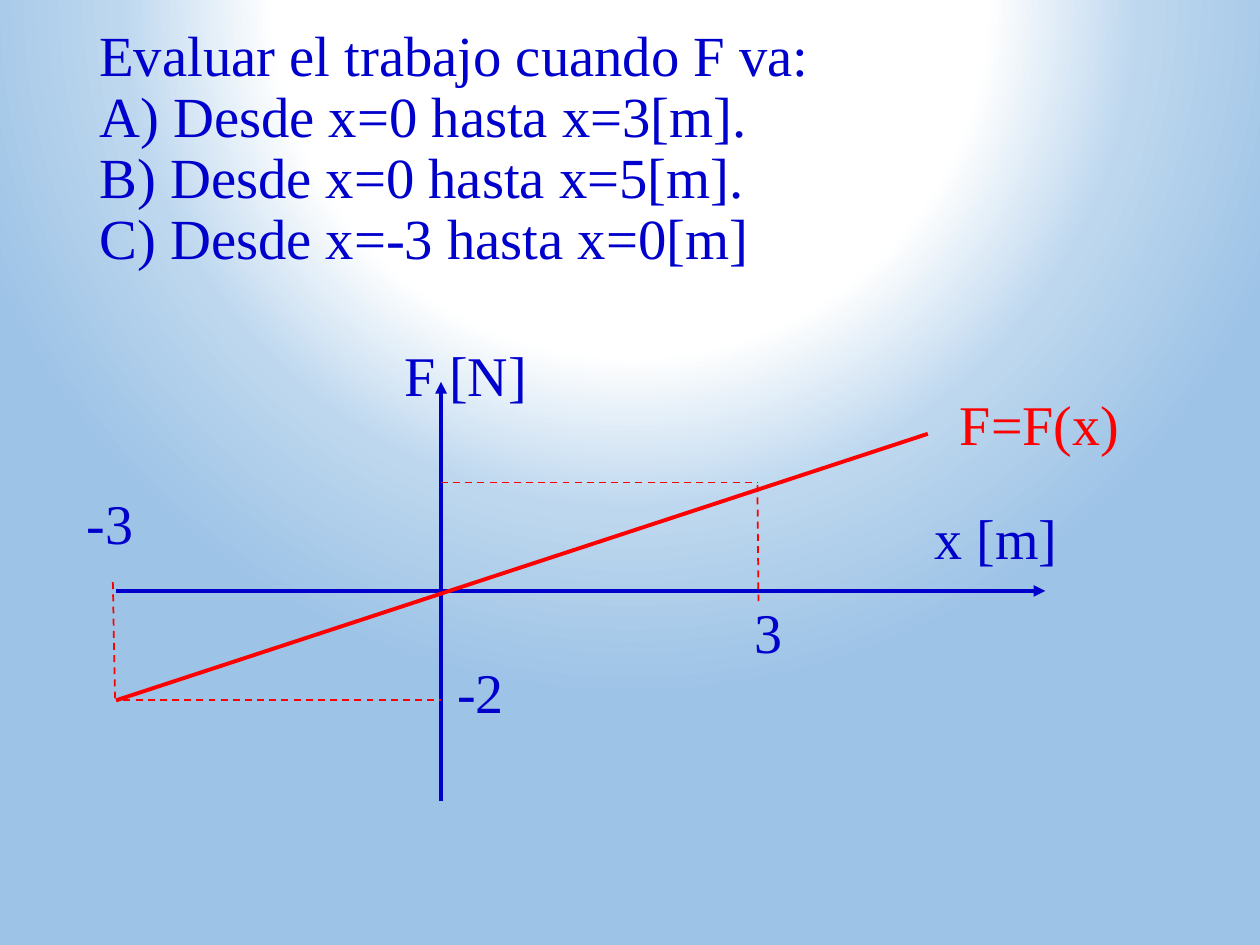
from lxml import etree
from pptx import Presentation
from pptx.dml.color import RGBColor
from pptx.enum.dml import MSO_LINE
from pptx.enum.shapes import MSO_CONNECTOR
from pptx.oxml.ns import qn
from pptx.util import Inches, Pt

STRAIGHT, DASH = MSO_CONNECTOR.STRAIGHT, MSO_LINE.DASH

THEME = dict(font="Times New Roman", blue="0000CC", red="FF0000",
             title=32.4, title_pitch=35, label=32, thick=2.25, thin=1,
             background=[(0, "FFFFFF"), (45, "FFFFFF"), (65, "BDD7EE"),
                         (89, "9DC3E6"), (100, "9DC3E6")],
             focus=dict(l=50, t=-80, r=50, b=180))

# Content
QUESTION = ["Evaluar el trabajo cuando F va:",
            "A) Desde x=0 hasta x=3[m].",
            "B) Desde x=0 hasta x=5[m].",
            "C) Desde x=-3 hasta x=0[m]"]
QUESTION_BOX = (0.69, 0.16, 5.89, 2.04)

# Graph coordinates: (x in m, F in N), placed on the slide by origin and unit
ORIGIN = (3.5, 4.69)
UNIT = (0.84, 0.43)
AXES = [((-3.07, 0), (5.71, 0)), ((0, -3.88), (0, 3.86))]
FORCE = ((-3.07, -2.02), (4.6, 2.9))
GUIDES = [((-3, -2.02), (0, -2.02)), ((-3.1, 0.16), (-3.08, -1.98)),
          ((2.99, 1.95), (3, -0.19)), ((0, 2), (3, 2))]

# text, left, top, width, height, colour
LABELS = [("F [N]", 3.11, 2.65, 1.3, 0.66, "blue"),
          ("-2", 3.53, 5.17, 0.61, 0.64, "blue"),
          ("-3", 0.59, 3.83, 0.61, 0.64, "blue"),
          ("3", 5.89, 4.69, 0.61, 0.64, "blue"),
          ("x [m]", 7.32, 3.95, 1.3, 0.64, "blue"),
          ("F=F(x)", 7.52, 3.04, 1.74, 0.66, "red")]


def rgb(name):
    return RGBColor.from_string(THEME[name])


def paint_background(s):
    fill = s.background.fill
    fill.gradient()
    grad = s.element.find(".//" + qn("a:gradFill"))
    for child in list(grad):
        grad.remove(child)
    stops = etree.SubElement(grad, qn("a:gsLst"))
    for share, colour in THEME["background"]:
        stop = etree.SubElement(stops, qn("a:gs"), pos=str(share * 1000))
        etree.SubElement(stop, qn("a:srgbClr"), val=colour)
    circle = etree.SubElement(grad, qn("a:path"), path="circle")
    etree.SubElement(circle, qn("a:fillToRect"),
                     {side: str(v * 1000) for side, v in THEME["focus"].items()})


def add_text(s, lines, box, size, colour, pitch=None):
    tf = s.shapes.add_textbox(*map(Inches, box)).text_frame
    tf.word_wrap = True
    tf.text = "\n".join(lines)
    for p in tf.paragraphs:
        if pitch:
            p.line_spacing = Pt(pitch)
        for r in p.runs:
            r.font.name, r.font.size = THEME["font"], Pt(size)
            r.font.color.rgb = rgb(colour)


def to_slide(point):
    x, force = point
    return (Inches(ORIGIN[0] + x * UNIT[0]), Inches(ORIGIN[1] - force * UNIT[1]))


def add_line(s, ends, colour, width, dashed=False, arrow=False):
    start, end = map(to_slide, ends)
    c = s.shapes.add_connector(STRAIGHT, *start, *end)
    c.line.color.rgb, c.line.width = rgb(colour), Pt(width)
    if dashed:
        c.line.dash_style = DASH
    if arrow:
        etree.SubElement(c.line._get_or_add_ln(), qn("a:tailEnd"), type="triangle")
    etree.SubElement(c._element.spPr, qn("a:effectLst"))


def main():
    prs = Presentation()
    prs.slide_width, prs.slide_height = Inches(10), Inches(7.5)
    s = prs.slides.add_slide(prs.slide_layouts[6])
    paint_background(s)

    # Question
    add_text(s, QUESTION, QUESTION_BOX, THEME["title"], "blue", THEME["title_pitch"])

    # Graph of the force
    for axis in AXES:
        add_line(s, axis, "blue", THEME["thick"], arrow=True)
    add_line(s, FORCE, "red", THEME["thick"])
    for guide in GUIDES:
        add_line(s, guide, "red", THEME["thin"], dashed=True)

    # Labels
    for text, *box, colour in LABELS:
        add_text(s, [text], box, THEME["label"], colour)

    prs.save("out.pptx")


if __name__ == "__main__":
    main()
